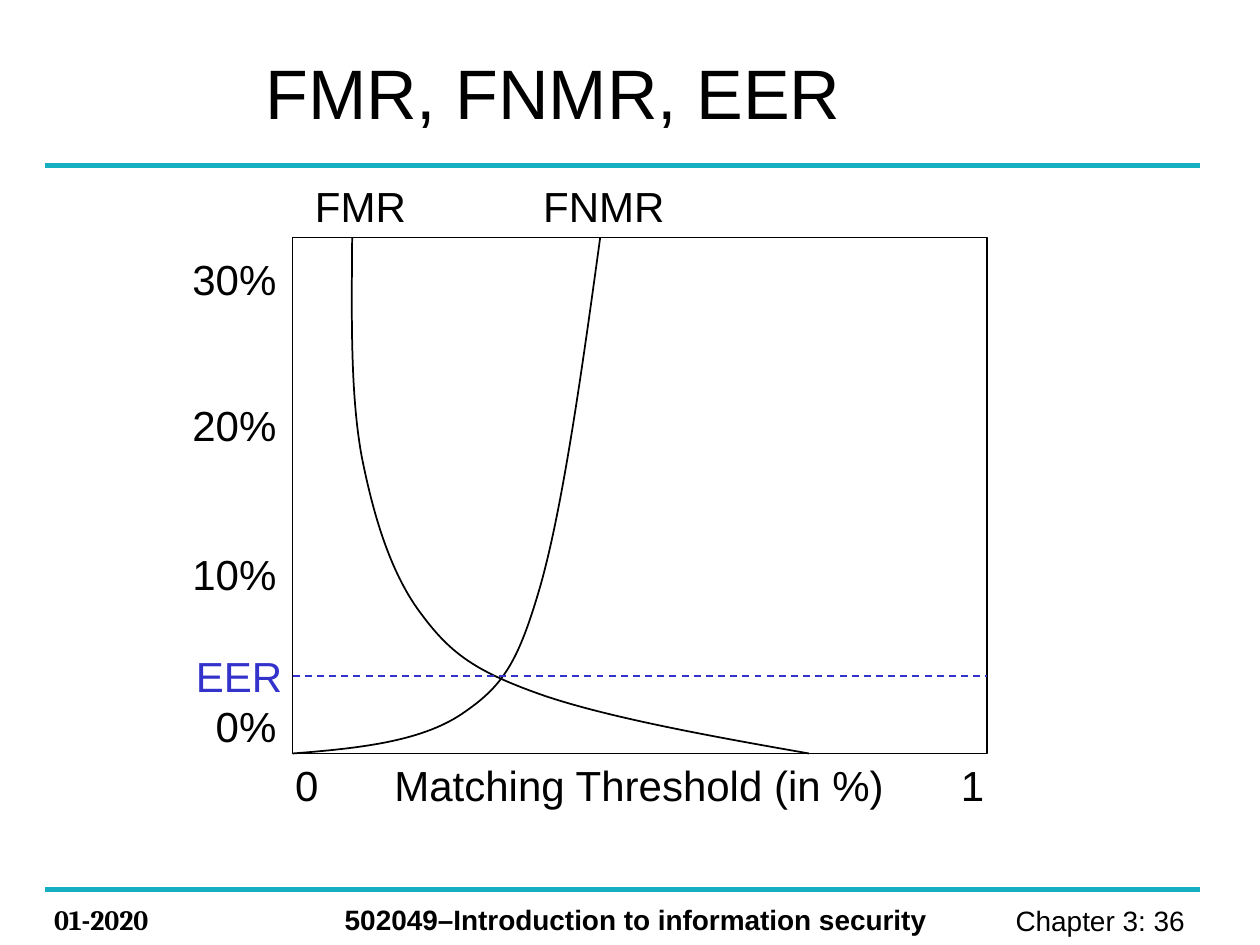
import pptx
import pptx.dml.color
import pptx.enum.dml
import pptx.enum.shapes
import pptx.enum.text
import pptx.util
import lxml.etree

Cm = pptx.util.Cm
Pt = pptx.util.Pt
ALIGN = pptx.enum.text.PP_ALIGN
COLORS = {"text": "000000", "rule": "16AFC2", "eer": "3333CC"}
A = "{http://schemas.openxmlformats.org/drawingml/2006/main}"


class SlideBuilder:
    """Hold the style and the current slide, and add each kind of element."""

    def __init__(self, slide, font="Arial"):
        """Keep the slide and its main font."""
        self.slide = slide
        self.font = font

    def color(self, name):
        """Return the named colour."""
        return pptx.dml.color.RGBColor.from_string(COLORS[name])

    def style(self, paragraph, size, color="text", bold=False, font=None, align=ALIGN.LEFT):
        """Format a whole paragraph."""
        paragraph.alignment = align
        paragraph.font.name = font or self.font
        paragraph.font.size = Pt(size)
        paragraph.font.bold = bold
        paragraph.font.color.rgb = self.color(color)

    def title(self, text, left, top, width, height):
        """Place and fill the title placeholder."""
        title = self.slide.shapes.title
        title.left, title.top, title.width, title.height = map(Cm, (left, top, width, height))
        title.text_frame.text = text
        title.text_frame.vertical_anchor = pptx.enum.text.MSO_ANCHOR.MIDDLE
        self.style(title.text_frame.paragraphs[0], 40)

    def text(self, text, left, top, width, height=1.27, size=24, wrap=False, **style):
        """Add a text box with one paragraph."""
        box = self.slide.shapes.add_textbox(*map(Cm, (left, top, width, height)))
        box.text_frame.word_wrap = wrap
        box.text_frame.text = text
        self.style(box.text_frame.paragraphs[0], size, **style)

    def line(self, left, right, y, color, width, dash=None):
        """Add a horizontal line."""
        line = self.slide.shapes.add_connector(
            pptx.enum.shapes.MSO_CONNECTOR.STRAIGHT, Cm(left), Cm(y), Cm(right), Cm(y))
        line.line.color.rgb = self.color(color)
        line.line.width = Pt(width)
        if dash:
            line.line.dash_style = dash
        lxml.etree.SubElement(line._element.spPr, f"{A}effectLst")

    def outline(self, shape, width):
        """Leave a shape unfilled with a plain outline."""
        shape.shadow.inherit = False
        shape.fill.background()
        shape.line.color.rgb = self.color("text")
        shape.line.width = Pt(width)

    def frame(self, left, top, width, height):
        """Add the plot frame."""
        self.outline(self.slide.shapes.add_shape(
            pptx.enum.shapes.MSO_SHAPE.RECTANGLE,
            *map(Cm, (left, top, width, height))), 0.75)

    def curve(self, *points):
        """Add an open cubic curve: a start, then two controls and an end per segment."""
        start, *rest = [(Cm(x), Cm(y)) for x, y in points]
        builder = self.slide.shapes.build_freeform(*start)
        builder.add_line_segments(rest, close=False)
        shape = builder.convert_to_shape()
        steps = list(shape._element.iter(f"{A}lnTo"))
        outline_path = steps[0].getparent()
        for first in range(0, len(steps), 3):
            cubic = lxml.etree.SubElement(outline_path, f"{A}cubicBezTo")
            for step in steps[first:first + 3]:
                cubic.append(step[0])
                outline_path.remove(step)
        self.outline(shape, 1)


def main():
    """Build the error rate slide."""
    deck = pptx.Presentation()
    deck.slide_width, deck.slide_height = Cm(25.4), Cm(19.05)
    page = SlideBuilder(deck.slides.add_slide(deck.slide_layouts[5]))

    for rule_y in (3.33, 17.93):
        page.line(0.9, 24.19, rule_y, "rule", 3)
    footer = {"height": 0.94, "size": 16, "wrap": True}
    page.text("Chapter 3: 36 ", 18.7, 18.08, 5.59, align=ALIGN.RIGHT, **footer)
    page.text("01-2020", 0.84, 18.06, 3.38, bold=True, font="Cambria", **footer)
    page.text("502049–Introduction to information security", 6.7, 18.06, 12.8,
              bold=True, **footer)
    page.title("FMR, FNMR, EER", 5.1, 0.74, 18.59, 2.21)

    plot_left, plot_top, plot_width, plot_height = 5.9, 4.79, 14, 10.4
    plot_bottom = plot_top + plot_height
    page.frame(plot_left, plot_top, plot_width, plot_height)
    page.curve((plot_left, plot_bottom),
               (7.19, 15.09), (8.46, 14.96), (9.3, 14.4),
               (10.13, 13.84), (10.44, 13.39), (10.9, 11.79),
               (11.35, 10.19), (11.73, 7.49), (12.1, plot_top))
    page.curve((7.1, plot_top),
               (7.09, 6.35), (7.06, 7.92), (7.29, 9.19),
               (7.54, 10.46), (7.9, 11.61), (8.51, 12.4),
               (9.09, 13.18), (9.6, 13.54), (10.9, 14),
               (12.19, 14.45), (14.25, 14.83), (16.31, plot_bottom))

    for curve_name, left, width in (("FMR", 6.1, 2.34), ("FNMR", 10.7, 2.95)):
        page.text(curve_name, left, 3.52, width)
    for axis_label, left, width in (("0", 5.7, 0.99), ("1", 19.12, 0.99),
                                    ("Matching Threshold (in %)", 7.7, 10.64)):
        page.text(axis_label, left, plot_bottom, width)
    page.text("EER", 3.7, 12.99, 2.26, color="eer")
    page.line(plot_left, plot_left + plot_width, 13.63, "eer", 1,
              pptx.enum.dml.MSO_LINE.DASH)
    tick_right = 5.83
    for rate, top, width in (("0%", 14, 1.73), ("10%", 10.93, 2.2),
                             ("20%", 7.92, 2.2), ("30%", 4.99, 2.2)):
        page.text(rate, tick_right - width, top, width)

    deck.save("out.pptx")


if __name__ == "__main__":
    main()
